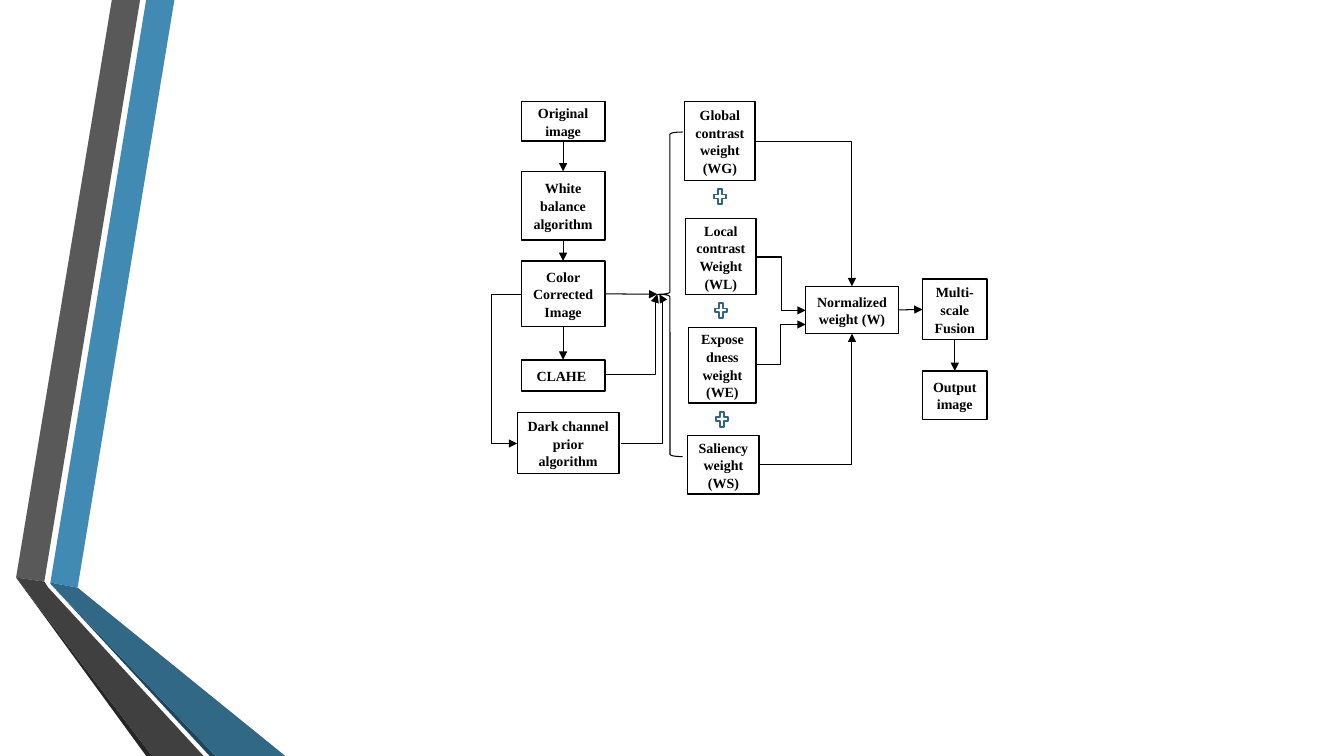
from lxml.etree import SubElement
from pptx import Presentation
from pptx.dml.color import RGBColor
from pptx.enum.shapes import MSO_CONNECTOR as LINK, MSO_SHAPE as SHAPE
from pptx.enum.text import MSO_ANCHOR as ANCHOR, PP_ALIGN as ALIGN
from pptx.oxml.ns import qn
from pptx.util import Inches, Pt

COLUMNS, ROWS = 1333, 750
CELL = Inches(0.01)
TOP, LEFT, BOTTOM, RIGHT = range(4)

BLACK = RGBColor(0x00, 0x00, 0x00)
PLUS_BLUE = RGBColor(0x30, 0x66, 0x84)
BLUE = RGBColor(0x41, 0x8A, 0xB3)
BLUE_FOLD = RGBColor(0x31, 0x68, 0x86)
BLUE_EDGE = RGBColor(0x20, 0x45, 0x5A)
GRAY = RGBColor(0x59, 0x59, 0x59)
GRAY_FOLD = RGBColor(0x40, 0x40, 0x40)
GRAY_EDGE = RGBColor(0x26, 0x26, 0x26)

RIBBONS = [
    (BLUE, [(50, 578), (77, 583), (173, 0), (145, 0)]),
    (GRAY, [(139, 0), (111, 0), (16, 573), (44, 577)]),
    (GRAY_EDGE, [(16, 573), (145, 750), (151, 750)]),
    (BLUE_EDGE, [(50, 579), (208, 750), (214, 750)]),
    (BLUE_FOLD, [(50, 578), (50, 579), (214, 750), (283, 750), (77, 583)]),
    (GRAY_FOLD, [(202, 750), (48, 583), (44, 577), (16, 573), (151, 750)]),
]

STEPS = {
    "white": ((517, 170, 83, 68), "White balance\nalgorithm"),
    "color": ((517, 259, 83, 65), "Color Corrected\nImage"),
    "clahe": ((517, 357, 83, 31), "CLAHE "),
    "dark": ((513, 409, 101, 61), "Dark channel\nprior algorithm"),
    "original": ((517, 101, 83, 39), "Original image"),
    "global": ((679, 101, 70, 78), "Global contrast weight\n(WG)"),
    "local": ((680, 217, 70, 75), "Local contrast\nWeight\n(WL)"),
    "saliency": ((682, 432, 71, 58), "Saliency weight\n(WS)"),
    "exposedness": ((683, 325, 67, 75), "Exposedness\nweight (WE)"),
    "normalized": ((799, 284, 92, 47), "Normalized weight (W)"),
    "fusion": ((915, 277, 64, 60), "Multi-scale Fusion"),
    "output": ((915, 368, 64, 48), "Output image"),
}

FLOWS = [
    ("original", BOTTOM, "white", TOP),
    ("white", BOTTOM, "color", TOP),
    ("color", BOTTOM, "clahe", TOP),
    ("color", RIGHT, "brace", LEFT),
    ("normalized", RIGHT, "fusion", LEFT),
    ("fusion", BOTTOM, "output", TOP),
]

DETOURS = [
    ((517, 292), (513, 440), 488),
    ((600, 372), (652, 292), 650),
    ((616, 440), (654, 292), 657),
    ((749, 140), (845, 284), 845),
    ((750, 255), (799, 308), 775),
    ((753, 461), (845, 331), 845),
    ((750, 362), (799, 322), 774),
]

PLUSES = [(706, 185), (707, 298), (708, 406)]


def grid(*cells):
    return [cell * CELL for cell in cells]


def add_ribbon(slide, color, corners):
    outline = slide.shapes.build_freeform(*corners[0], scale=CELL)
    outline.add_line_segments(corners[1:], close=True)
    ribbon = outline.convert_to_shape()
    ribbon.shadow.inherit = False
    ribbon.fill.solid()
    ribbon.fill.fore_color.rgb = color
    ribbon.line.fill.background()


def add_outline(slide, preset, cells, color=BLACK, width=1.0):
    outline = slide.shapes.add_shape(preset, *grid(*cells))
    outline.shadow.inherit = False
    outline.fill.background()
    outline.line.color.rgb = color
    outline.line.width = Pt(width)
    return outline


def write(frame, text, font="Times New Roman", size=10, color=BLACK, bold=True):
    frame.word_wrap = True
    frame.vertical_anchor = ANCHOR.MIDDLE
    frame.text = text
    for paragraph in frame.paragraphs:
        paragraph.alignment = ALIGN.CENTER
        paragraph.line_spacing = 1.05
        for run in paragraph.runs:
            run.font.name = font
            run.font.size = Pt(size)
            run.font.bold = bold
            run.font.color.rgb = color


def add_step(slide, cells, label):
    step = add_outline(slide, SHAPE.RECTANGLE, cells)
    write(step.text_frame, label)
    return step


def add_arrow(slide, kind, start, end):
    arrow = slide.shapes.add_connector(kind, *grid(*start, *end))
    arrow.line.color.rgb = BLACK
    arrow.line.width = Pt(0.75)
    SubElement(arrow.line._get_or_add_ln(), qn("a:tailEnd"), type="triangle")
    SubElement(arrow._element.spPr, qn("a:effectLst"))
    return arrow


def add_flow(slide, source, source_side, target, target_side):
    arrow = add_arrow(slide, LINK.STRAIGHT, (0, 0), (0, 0))
    arrow.begin_connect(source, source_side)
    arrow.end_connect(target, target_side)


def add_detour(slide, start, end, turn):
    arrow = add_arrow(slide, LINK.ELBOW, start, end)
    geometry = arrow._element.spPr.find(qn("a:prstGeom"))
    if turn == end[0]:
        geometry.set("prst", "bentConnector2")
        return
    share = round((turn - start[0]) / (end[0] - start[0]) * 100000)
    guides = geometry.find(qn("a:avLst"))
    if guides is None:
        guides = SubElement(geometry, qn("a:avLst"))
    SubElement(guides, qn("a:gd"), name="adj1", fmla=f"val {share}")


def main():
    deck = Presentation()
    deck.slide_width, deck.slide_height = grid(COLUMNS, ROWS)
    slide = deck.slides.add_slide(deck.slide_layouts[6])

    for color, corners in RIBBONS:
        add_ribbon(slide, color, corners)
    parts = {key: add_step(slide, *step) for key, step in STEPS.items()}
    parts["brace"] = add_outline(slide, SHAPE.LEFT_BRACE, (652, 131, 25, 322), width=0.75)
    for source, source_side, target, target_side in FLOWS:
        add_flow(slide, parts[source], source_side, parts[target], target_side)
    for start, end, turn in DETOURS:
        add_detour(slide, start, end, turn)
    for left, top in PLUSES:
        add_outline(slide, SHAPE.MATH_PLUS, (left, top, 16, 20), PLUS_BLUE, 1.25)

    deck.save("out.pptx")


if __name__ == "__main__":
    main()
